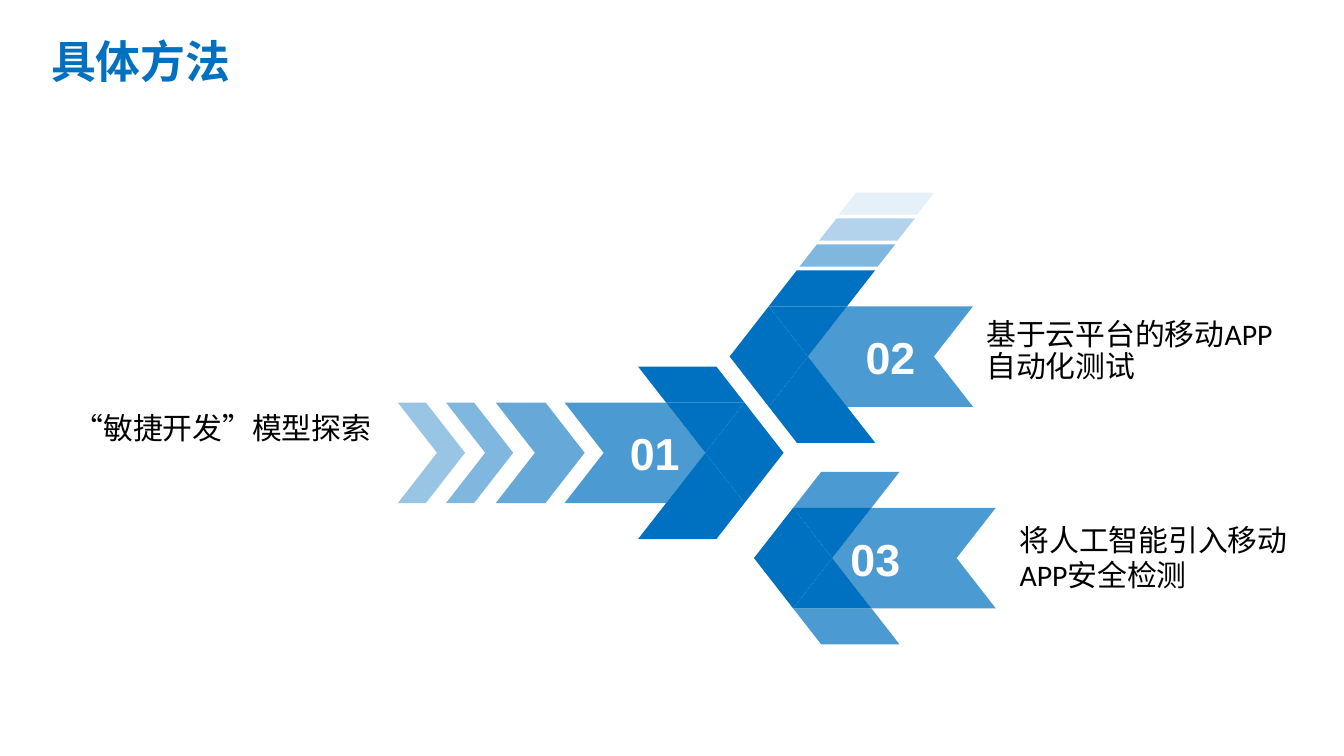
from lxml.etree import SubElement
from pptx import Presentation
from pptx.dml.color import RGBColor
from pptx.enum.text import MSO_ANCHOR, MSO_AUTO_SIZE, PP_ALIGN
from pptx.oxml.ns import qn
from pptx.util import Cm, Pt

HUES = {"blue": "0070C0", "white": "FFFFFF", "black": "000000"}
HALF, WING, SLANT, LEAN, BAND = 0.95, 1.63, 0.74, 0.53, 1.48
MID = 8.56


def write(frame, text, size, font, hue, bold=False, align=PP_ALIGN.LEFT):
    """Add one styled run to the first paragraph and return the paragraph."""
    para = frame.paragraphs[0]
    para.alignment = align
    run = para.add_run()
    run.text = text
    run.font.size = Pt(size)
    run.font.name = font
    run.font.bold = bold
    run.font.color.rgb = RGBColor.from_string(HUES[hue])
    return para


def place(shape, left, top, width, height):
    """Set the position and size of a shape in centimetres."""
    shape.left, shape.top = Cm(left), Cm(top)
    shape.width, shape.height = Cm(width), Cm(height)


def piece(group, points, alpha=100):
    """Draw a closed blue outline with the given opacity in percent."""
    spots = [(Cm(x), Cm(y)) for x, y in points]
    pen = group.shapes.build_freeform(*spots[0])
    pen.add_line_segments(spots[1:], close=True)
    shape = pen.convert_to_shape()
    shape.shadow.inherit = False
    shape.line.fill.background()
    shape.fill.solid()
    shape.fill.fore_color.rgb = RGBColor.from_string(HUES["blue"])
    if alpha < 100:
        tint = shape.element.spPr.find(qn("a:solidFill")).find(qn("a:srgbClr"))
        SubElement(tint, qn("a:alpha"), val=str(alpha * 1000))
    return shape


def arrow(group, tip, side, length, mark, pads, alpha=100):
    """Draw a numbered arrow whose tail runs to the given side of its tip."""
    def spread(*points):
        return [(tip[0] + side * x, tip[1] + y) for x, y in points]

    neck = SLANT + BAND
    tail = piece(group, spread((length, -HALF), (neck, -HALF), (BAND, 0), (neck, HALF),
                               (length, HALF), (length - SLANT, 0)), 70)
    for sign in (-1, 1):
        edge, far = sign * HALF, sign * WING
        piece(group, spread((SLANT, edge), (neck, edge), (neck + LEAN, far),
                            (SLANT + LEAN, far)), alpha)
        piece(group, spread((SLANT, edge), (neck, edge), (BAND, 0)))
    piece(group, spread((0, 0), (SLANT, -HALF), (BAND, 0), (SLANT, HALF)))
    frame = tail.text_frame
    frame.vertical_anchor = MSO_ANCHOR.MIDDLE
    frame.margin_left, frame.margin_right = (Cm(pad) for pad in pads)
    frame.margin_top = frame.margin_bottom = Cm(0.1)
    write(frame, mark, 24, "Arial", "white", True, PP_ALIGN.CENTER)


def chevron(group, left, body, alpha):
    """Draw one trailing chevron."""
    right = left + body
    piece(group, [(right, MID - HALF), (left, MID - HALF), (left + SLANT, MID),
                  (left, MID + HALF), (right, MID + HALF), (right + SLANT, MID)], alpha)


def slat(group, left, base, alpha):
    """Draw one slanted trailing bar."""
    lean, tall, wide = 0.33, 0.42, BAND
    piece(group, [(left + lean + wide, base - tall), (left + lean, base - tall),
                  (left, base), (left + wide, base)], alpha)


def label(slide, text, box, align=PP_ALIGN.LEFT, space=None):
    """Add a wrapped caption."""
    frame = slide.shapes.add_textbox(*(Cm(n) for n in box)).text_frame
    frame.word_wrap = True
    frame.auto_size = MSO_AUTO_SIZE.SHAPE_TO_FIT_TEXT
    para = write(frame, text, 16, "Calibri", "black", align=align)
    if space:
        para.line_spacing = space


def head(slide, text):
    """Fill and place the title."""
    title = slide.shapes.title
    place(title, 0.71, 0.51, 3.94, 1.27)
    frame = title.text_frame
    frame.word_wrap = False
    frame.auto_size = MSO_AUTO_SIZE.SHAPE_TO_FIT_TEXT
    frame.vertical_anchor = MSO_ANCHOR.TOP
    write(frame, text, 24, "Arial", "blue", True)


def main():
    """Build and save the slide."""
    deck = Presentation()
    deck.slide_width, deck.slide_height = Cm(25.4), Cm(14.29)
    slide = deck.slides.add_slide(deck.slide_layouts[5])
    head(slide, "具体方法")

    second, third, first = (slide.shapes.add_group_shape() for _ in range(3))
    arrow(second, (13.79, 6.74), 1, 4.6, "02", (0.18, 0.18))
    for step, alpha in enumerate((50, 30, 10)):
        slat(second, 15.11 + 0.37 * step, 5.04 - 0.49 * step, alpha)
    arrow(third, (14.25, 10.55), 1, 4.57, "03", (0.18, 1.64), 70)
    arrow(first, (14.81, MID), -1, 4.14, "01", (0.93, 0.18))
    for left, body, alpha in ((9.37, 0.94, 60), (8.43, 0.53, 50), (7.52, 0.53, 40)):
        chevron(first, left, body, alpha)

    label(slide, "将人工智能引入移动APP安全检测", (19.02, 9.73, 6.38, 1.63))
    label(slide, "基于云平台的移动APP自动化测试", (18.39, 5.92, 6.38, 1.47), space=0.89)
    label(slide, "“敏捷开发”模型探索", (0.89, 7.7, 6.38, 0.86), PP_ALIGN.RIGHT, 0.89)
    deck.save("out.pptx")


if __name__ == "__main__":
    main()
